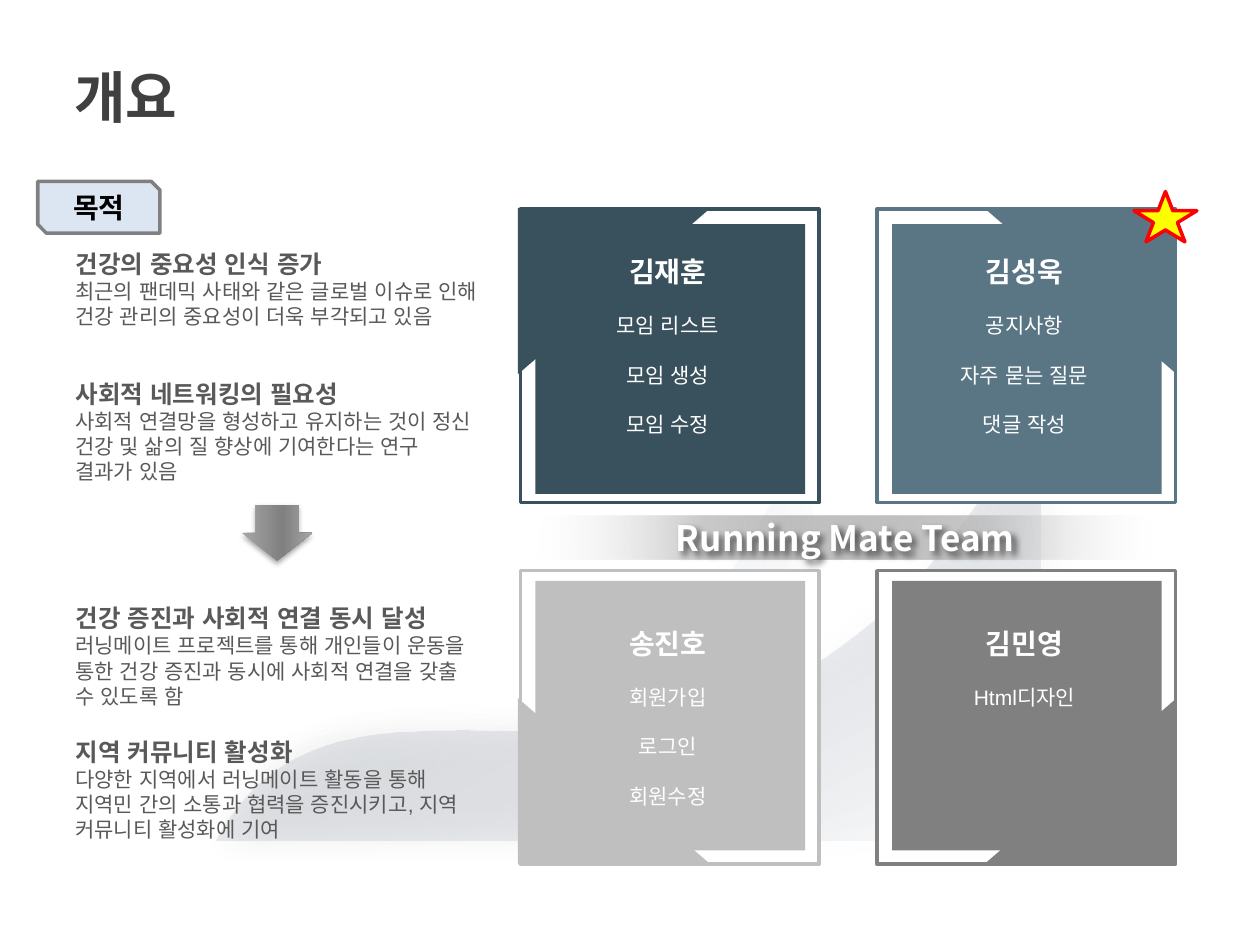
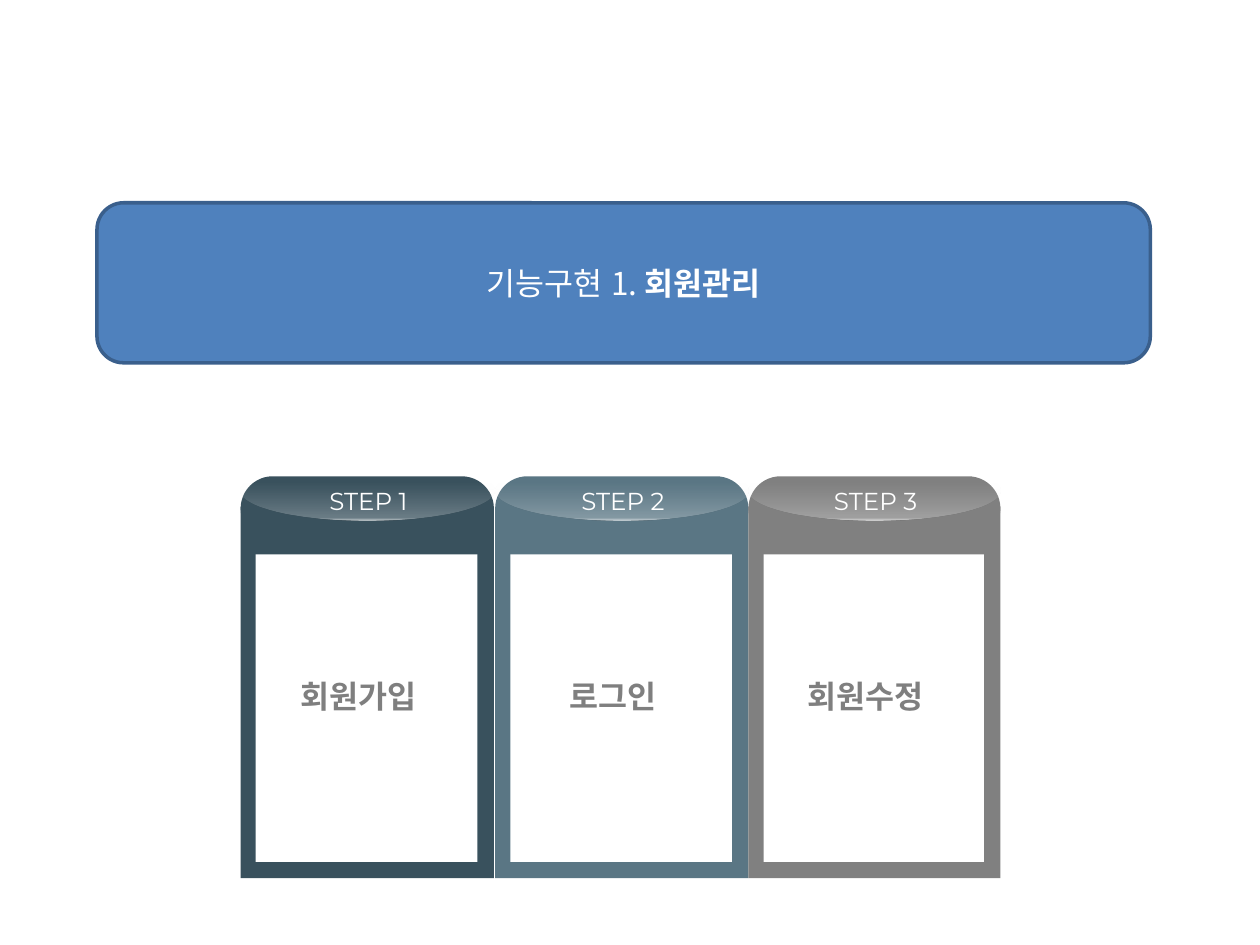
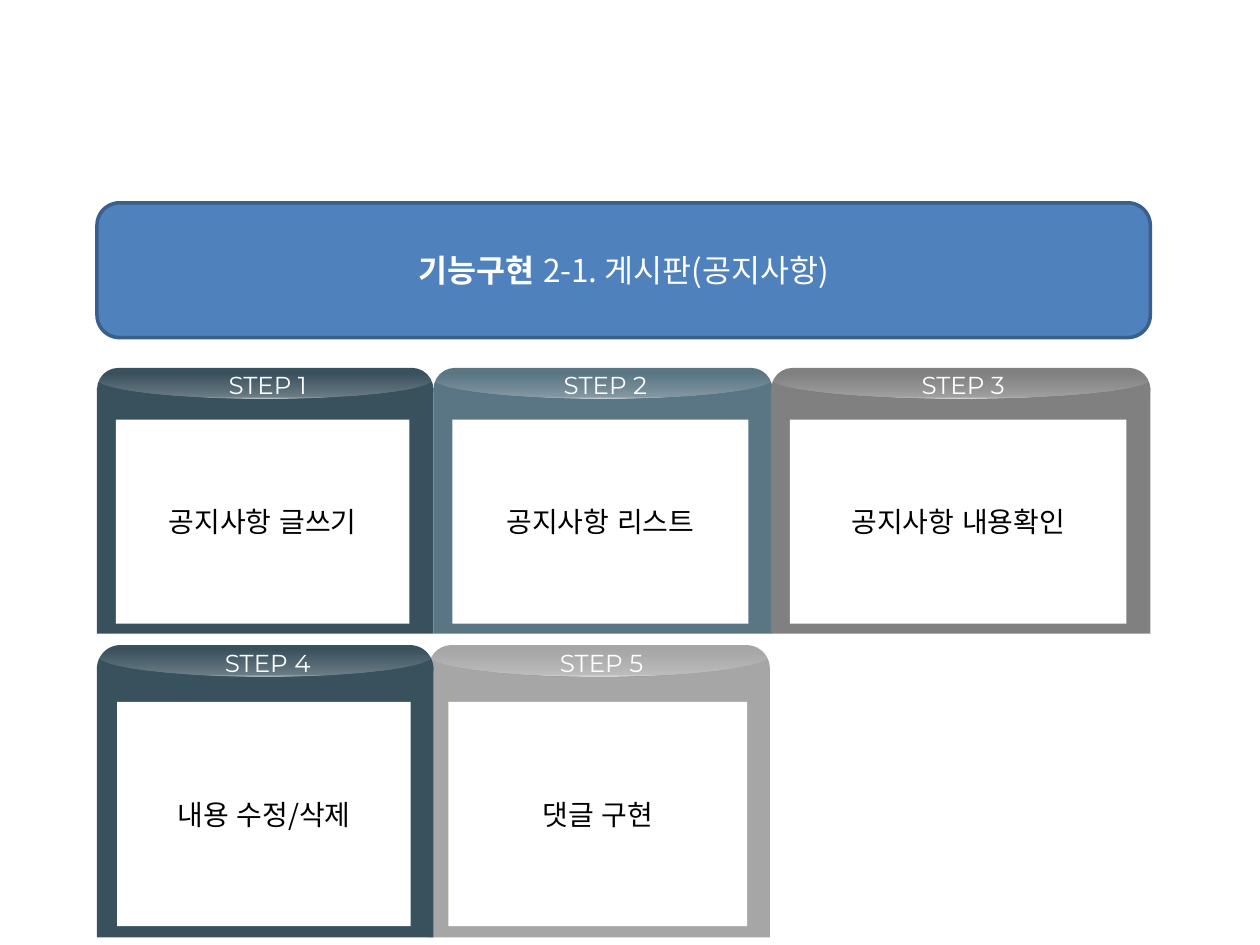
from pptx import Presentation, util as u
from pptx.dml.color import RGBColor
from pptx.enum import lang, shapes, text
from pptx.oxml import parse_xml
from pptx.oxml.ns import nsdecls, qn

HUE = {
    "navy": "39515D", "teal": "5A7684", "gray": "808080", "pale": "BFBFBF",
    "ash": "A6A6A6", "white": "FFFFFF", "black": "000000", "dark": "404040",
    "body": "595959", "note": "7F7F7F", "blue": "4F81BD", "edge": "3A5F8C",
    "ice": "DCE6F2", "gold": "FFFF00", "red": "FF0000", "mist": "F2F2F2",
    "deep": "001C46",
}
ARIAL, NOTO = "Arial", "Noto Sans CJK KR"
FONT = {
    "title": (ARIAL, 32, True, "dark"),
    "name": (ARIAL, 16, True, "white"),
    "task": (ARIAL, 12, False, "white"),
    "head": (ARIAL, 14, True, "body"),
    "body": (ARIAL, 12, False, "body"),
    "team": (NOTO, 20, True, "white"),
    "tag": (NOTO, 16, True, "black"),
    "bar": (NOTO, 18, False, "white"),
    "strong": (NOTO, 18, True, "white"),
    "step": ("Montserrat", 14, False, "white"),
    "note": (NOTO, 18, True, "note"),
    "plain": (NOTO, 16, False, "black"),
}
KIND = shapes.MSO_SHAPE
MID, LOW = text.MSO_ANCHOR.MIDDLE, text.MSO_ANCHOR.BOTTOM
LEFT, CENTER = text.PP_ALIGN.LEFT, text.PP_ALIGN.CENTER

# Gradient stops: position %, colour, opacity %
GLOSS = dict(stops=[(37, "mist", 0), (95, "white", 25), (100, "white", 78)], angle=90)
GLOW = dict(stops=[(0, "gray", 48), (48, "pale", 80), (100, "mist", 0)], angle=None)
STEEL = dict(stops=[(0, "ash", 100), (58, "gray", 100), (100, "ash", 100)], angle=0)

# Overview
TEAM = [  # name, colour, column, row, tasks
    ("김재훈", "navy", 0, 0, ["모임 리스트", "모임 생성", "모임 수정"]),
    ("김성욱", "teal", 1, 0, ["공지사항", "자주 묻는 질문", "댓글 작성"]),
    ("김민영", "gray", 1, 1, ["Html디자인"]),
    ("송진호", "pale", 0, 1, ["회원가입", "로그인", "회원수정"]),
]
GOALS = [  # top, heading, text
    (1.93, "건강의 중요성 인식 증가",
     "최근의 팬데믹 사태와 같은 글로벌 이슈로 인해 건강 관리의 중요성이 더욱 부각되고 있음"),
    (2.96, "사회적 네트워킹의 필요성",
     "사회적 연결망을 형성하고 유지하는 것이 정신 건강 및 삶의 질 향상에 기여한다는 연구 결과가 있음"),
    (4.74, "건강 증진과 사회적 연결 동시 달성",
     "러닝메이트 프로젝트를 통해 개인들이 운동을 통한 건강 증진과 동시에 사회적 연결을 갖출 수 있도록 함"),
    (5.8, "지역 커뮤니티 활성화",
     "다양한 지역에서 러닝메이트 활동을 통해 지역민 간의 소통과 협력을 증진시키고, 지역 커뮤니티 활성화에 기여"),
]
WAVES = [  # four curve points, gradient
    ([(1.71, 6.67), (2.87, 4.5), (5.92, 7.66), (8.26, 3.15)],
     dict(stops=[(0, "mist", 36), (100, "deep", 0)], angle=60)),
    ([(1.72, 6.67), (2.56, 4.5), (4.77, 7.66), (6.47, 3.15)],
     dict(stops=[(75, "mist", 11), (100, "deep", 0)], angle=0)),
]

# Step rows: each part is x offset, y offset, width change, height
TALL = dict(top=4.02, base=(0, 0, 0, 2.95), cap=(0, -.24, 0, .51),
            panel=(.12, .38, -.25, 2.44), gloss=(0, -.36, 0, .47),
            step=(.23, -.22, -.44, .34), note=(.26, .69, -.56, 1.01))
UPPER = dict(top=3.08, base=(0, 0, 0, 1.95), cap=(0, -.16, 0, .34),
             panel=(.15, .25, -.34, 1.62), gloss=(0, -.23, 0, .31),
             step=(.31, -.2, -.58, .34))
LOWER = dict(top=5.29, base=(0, 0, 0, 2.15), cap=(0, -.17, 0, .37),
             panel=(.16, .28, -.34, 1.78), gloss=(0, -.26, 0, .34),
             step=(.31, -.2, -.58, .34))
PAGES = [
    dict(bar=[("기능구현 1. ", "bar"), ("회원관리", "strong")], high=1.27, steps=[
        (TALL, 1, "회원가입", "navy", 1.91, 2.01),
        (TALL, 2, "로그인", "teal", 3.93, 2.01),
        (TALL, 3, "회원수정", "gray", 5.94, 2.0)]),
    dict(bar=[("기능구현 ", "strong"), ("2-1. 게시판(공지사항)", "bar")], high=1.07, steps=[
        (UPPER, 1, "공지사항 글쓰기", "navy", .77, 2.67),
        (UPPER, 2, "공지사항 리스트", "teal", 3.44, 2.69),
        (UPPER, 3, "공지사항 내용확인", "gray", 6.12, 3.01),
        (LOWER, 5, "댓글 구현", "ash", 3.4, 2.71),
        (LOWER, 4, "내용 수정/삭제", "navy", .77, 2.67)]),
]


def rgb(hue):
    return RGBColor.from_string(HUE[hue])


def fade(shape, stops, angle):
    """Fill with a gradient: linear at an angle, or round when angle is None."""
    marks = "".join(
        f'<a:gs pos="{pos * 1000}"><a:srgbClr val="{HUE[hue]}">'
        f'<a:alpha val="{alpha * 1000}"/></a:srgbClr></a:gs>'
        for pos, hue, alpha in stops)
    if angle is None:
        way = ('<a:path path="circle"><a:fillToRect l="50000" t="50000" '
               'r="50000" b="50000"/></a:path>')
    else:
        way = f'<a:lin ang="{angle * 60000}" scaled="0"/>'
    shape.fill.background()
    props = shape._element.spPr
    props.replace(props.find(qn("a:noFill")), parse_xml(
        f'<a:gradFill {nsdecls("a")} rotWithShape="1"><a:gsLst>{marks}</a:gsLst>{way}</a:gradFill>'))


def shade(shape, alpha, blur, dist, angle):
    """Give a black outer shadow; blur and distance are in points."""
    shape.shadow.inherit = False
    shape._element.spPr.find(qn("a:effectLst")).append(parse_xml(
        f'<a:outerShdw {nsdecls("a")} blurRad="{u.Pt(blur)}" dist="{u.Pt(dist)}" '
        f'dir="{angle * 60000}" algn="ctr" rotWithShape="0"><a:srgbClr val="{HUE["black"]}">'
        f'<a:alpha val="{alpha * 1000}"/></a:srgbClr></a:outerShdw>'))


def paint(shape, fill, line=None):
    shape.shadow.inherit = False
    if isinstance(fill, dict):
        fade(shape, **fill)
    else:
        shape.fill.solid()
        shape.fill.fore_color.rgb = rgb(fill)
    if line:
        shape.line.color.rgb = rgb(line)
        shape.line.width = u.Pt(2)
    else:
        shape.line.fill.background()
    return shape


def draw(slide, kind, box, fill, line=None, adj=()):
    shape = slide.shapes.add_shape(kind, *map(u.Inches, box))
    for num, value in enumerate(adj):
        shape.adjustments[num] = value
    return paint(shape, fill, line)


def write(shape, paras, align=CENTER, gap=0, **frame):
    """Fill a shape with paragraphs, each a list of (text, font key)."""
    area = shape.text_frame
    for key, value in {"word_wrap": True, **frame}.items():
        setattr(area, key, value)
    for num, runs in enumerate(paras):
        para = area.add_paragraph() if num else area.paragraphs[0]
        para.alignment = align
        para.space_before = u.Pt(gap if num else 0)
        for words, key in runs:
            run = para.add_run()
            run.text = words
            face, size, bold, hue = FONT[key]
            look = dict(name=face, size=u.Pt(size), bold=bold,
                        language_id=lang.MSO_LANGUAGE_ID.KOREAN)
            for name, value in look.items():
                setattr(run.font, name, value)
            run.font.color.rgb = rgb(hue)
            run._r.get_or_add_rPr().append(
                parse_xml(f'<a:ea {nsdecls("a")} typeface="{face}"/>'))
    return shape


def label(slide, box, paras, **style):
    return write(slide.shapes.add_textbox(*map(u.Inches, box)), paras, **style)


def wave(slide, curve, fill):
    """Draw the area under a cubic curve as a many-sided outline."""
    def spot(t):
        parts = ((1 - t) ** 3, 3 * t * (1 - t) ** 2, 3 * t * t * (1 - t), t ** 3)
        return [u.Inches(sum(w * pt[axis] for w, pt in zip(parts, curve)))
                for axis in (0, 1)]

    dots = [spot(step / 60) for step in range(61)]
    dots.append((dots[-1][0], dots[0][1]))
    pen = slide.shapes.build_freeform(*dots[0], scale=1.0)
    pen.add_line_segments(dots[1:], close=True)
    shade(paint(pen.convert_to_shape(), fill), 23, 20, 5, 0)


def member(slide, name, hue, col, row, tasks):
    x, y = 4.13 + 2.83 * col, 1.66 + 2.87 * row
    draw(slide, KIND.RECTANGLE, (x, y, 2.37, 2.33), "white", hue)
    corner = draw(slide, KIND.ISOSCELES_TRIANGLE,
                  (x + (-.02, .85)[col], y + (-.01, 1.01)[row], 1.53, 1.32),
                  hue, adj=[int(col == row)])
    corner.rotation = 0 if row else 180
    draw(slide, KIND.RECTANGLE, (x + .12, y + (.12, .08)[row], 2.14, 2.14), hue)
    label(slide, (x + .08, y + (.31, .39)[row], 2.18, 1.58),
          [[(name, "name")]] + [[(task, "task")] for task in tasks], gap=14)


def overview(deck):
    slide = deck.slides.add_slide(deck.slide_layouts[5])
    title = slide.shapes.title
    title.left, title.top, title.width, title.height = map(u.Inches, (.49, .34, 9, .85))
    write(title, [[("개요", "title")]], LEFT, vertical_anchor=MID)
    for curve, fill in WAVES:
        wave(slide, curve, fill)
    for person in TEAM:
        member(slide, *person)
    for top, head, body in GOALS:
        label(slide, (.5, top, 3.41, .94), [[(head, "head")], [(body, "body")]], align=LEFT)
    draw(slide, KIND.RECTANGLE, (4.27, 4.09, 4.88, .35), GLOW)
    team = label(slide, (5.26, 4.05, 2.9, .44), [[("Running Mate Team", "team")]],
                 word_wrap=False)
    shade(team, 60, 4, 3, 45)
    arrow = draw(slide, KIND.DOWN_ARROW, (1.92, 4.01, .56, .44), STEEL, adj=(.61, .5))
    shade(arrow, 35, 3.1, 1.8, 90)
    tag = draw(slide, KIND.SNIP_2_DIAG_RECTANGLE, (.3, 1.44, .97, .41), "ice", "gray")
    write(tag, [[("목적", "tag")]], vertical_anchor=MID)
    draw(slide, KIND.STAR_5_POINT, (9, 1.52, .5, .4), "gold", "red")


def card(slide, row, num, words, hue, x, wide):
    def place(part):
        dx, dy, grow, high = row[part]
        return x + dx, row["top"] + dy, wide + grow, high

    draw(slide, KIND.RECTANGLE, place("base"), hue)
    draw(slide, KIND.ROUNDED_RECTANGLE, place("cap"), hue, adj=[.5])
    panel = draw(slide, KIND.RECTANGLE, place("panel"), "white")
    if "note" in row:
        label(slide, place("note"), [[(words, "note")]], vertical_anchor=LOW, margin_left=0)
    else:
        write(panel, [[(words, "plain")]], vertical_anchor=MID)
    draw(slide, KIND.OVAL, place("gloss"), GLOSS)
    label(slide, place("step"), [[(f"STEP {num}", "step")]], vertical_anchor=MID)


def feature(deck, bar, high, steps):
    slide = deck.slides.add_slide(deck.slide_layouts[6])
    banner = draw(slide, KIND.ROUNDED_RECTANGLE, (.77, 1.61, 8.36, high), "blue", "edge")
    write(banner, [bar], vertical_anchor=MID)
    for step in steps:
        card(slide, *step)


def main():
    deck = Presentation()
    deck.slide_width, deck.slide_height = u.Inches(10), u.Inches(7.5)
    overview(deck)
    for page in PAGES:
        feature(deck, **page)
    deck.save("out.pptx")


if __name__ == "__main__":
    main()
